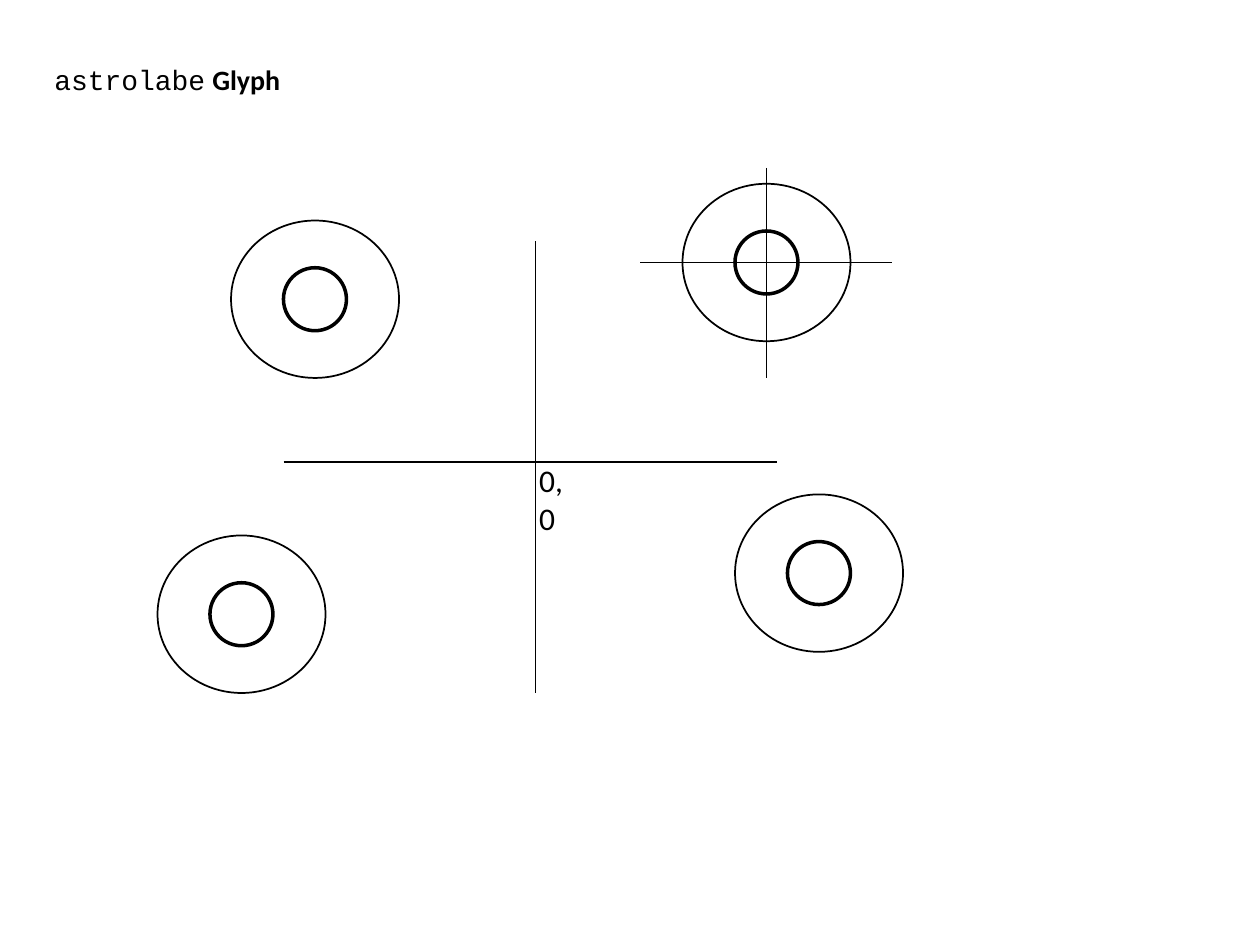
import pptx
import pptx.dml.color
import pptx.enum.shapes
import pptx.oxml.ns
import pptx.util
from lxml import etree

Pt = pptx.util.Pt
BLACK = pptx.dml.color.RGBColor(0, 0, 0)

# Text boxes: left, top, width, height, runs of (text, format)
LABELS = [
    (24, 30, 232.5, 26.5, [
        ("astrolabe", dict(size=16, font="Courier New")),
        (" ", dict(size=18)),
        ("Glyph", dict(size=16, bold=True)),
    ]),
    (301, 260, 32.5, 20, [("0, 0", dict(size=18))]),
]

# Lines: x1, y1, x2, y2
AXES = [(306, 138, 306, 396), (162, 264, 444, 264)]
CROSSHAIR = [(366, 150, 510, 150), (438, 96, 438, 216)]

# Every glyph is two concentric ellipses: width, height, line width
GLYPH_CENTRES = [(438, 150), (468, 327.5), (138, 351), (180, 171)]
RINGS = [(36, 36, 2), (96, 90, 1)]


def add_run(p, text, size=18, font="Calibri", bold=False):
    r = p.add_run()
    r.text = text
    r.font.size = Pt(size)
    r.font.name = font
    r.font.bold = bold
    r.font.color.rgb = BLACK


def add_label(slide, left, top, width, height, runs):
    box = slide.shapes.add_textbox(Pt(left), Pt(top), Pt(width), Pt(height))
    tf = box.text_frame
    tf.word_wrap = True
    for text, style in runs:
        add_run(tf.paragraphs[0], text, **style)


def add_line(slide, *ends):
    line = slide.shapes.add_connector(
        pptx.enum.shapes.MSO_CONNECTOR.STRAIGHT, *map(Pt, ends))
    line.line.color.rgb = BLACK
    line.line.width = Pt(0.75)
    etree.SubElement(line._element.spPr, pptx.oxml.ns.qn("a:effectLst"))


def add_glyph(slide, cx, cy):
    for width, height, weight in RINGS:
        sp = slide.shapes.add_shape(
            pptx.enum.shapes.MSO_SHAPE.OVAL,
            Pt(cx - width / 2), Pt(cy - height / 2), Pt(width), Pt(height))
        sp.shadow.inherit = False
        sp.fill.background()
        sp.line.color.rgb = BLACK
        sp.line.width = Pt(weight)


def main():
    prs = pptx.Presentation()
    prs.slide_width, prs.slide_height = Pt(720), Pt(540)
    slide = prs.slides.add_slide(prs.slide_layouts[6])
    for ends in AXES:
        add_line(slide, *ends)
    for centre in GLYPH_CENTRES:
        add_glyph(slide, *centre)
    for label in LABELS:
        add_label(slide, *label)
    for ends in CROSSHAIR:
        add_line(slide, *ends)
    prs.save("out.pptx")


if __name__ == "__main__":
    main()
